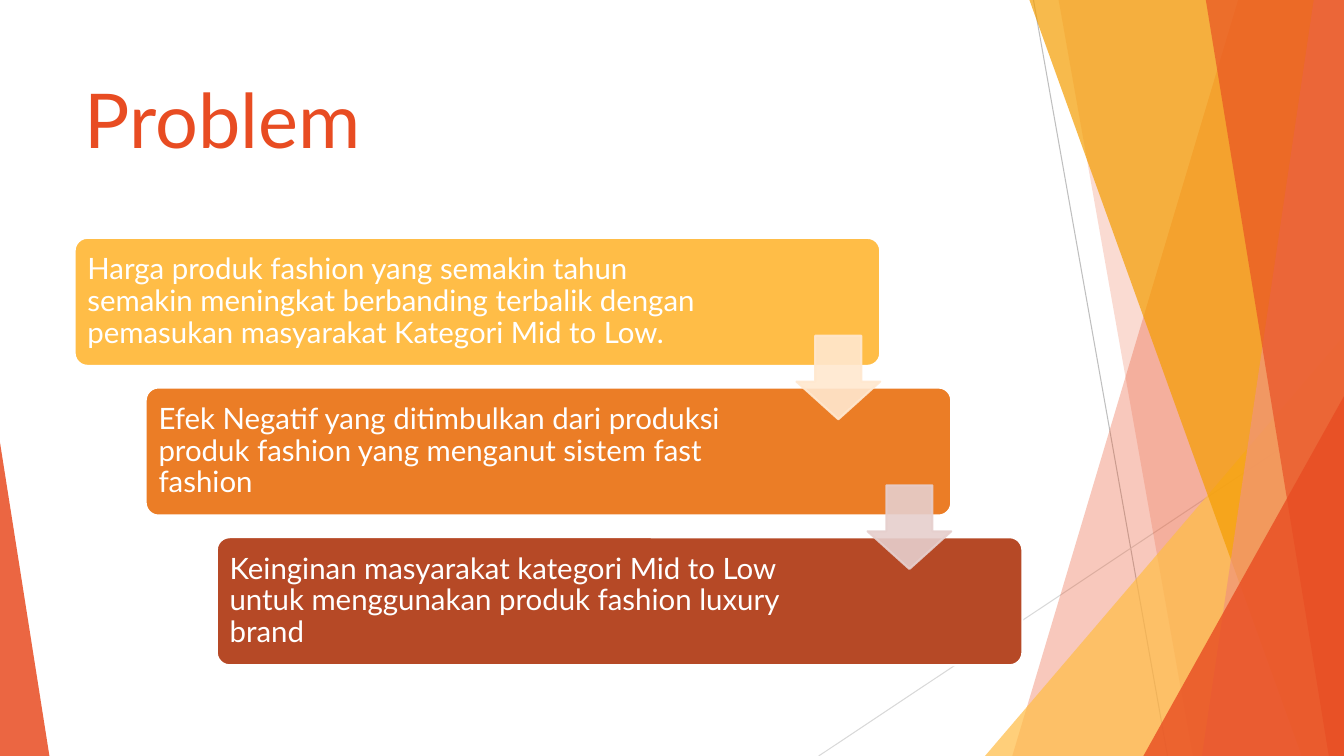
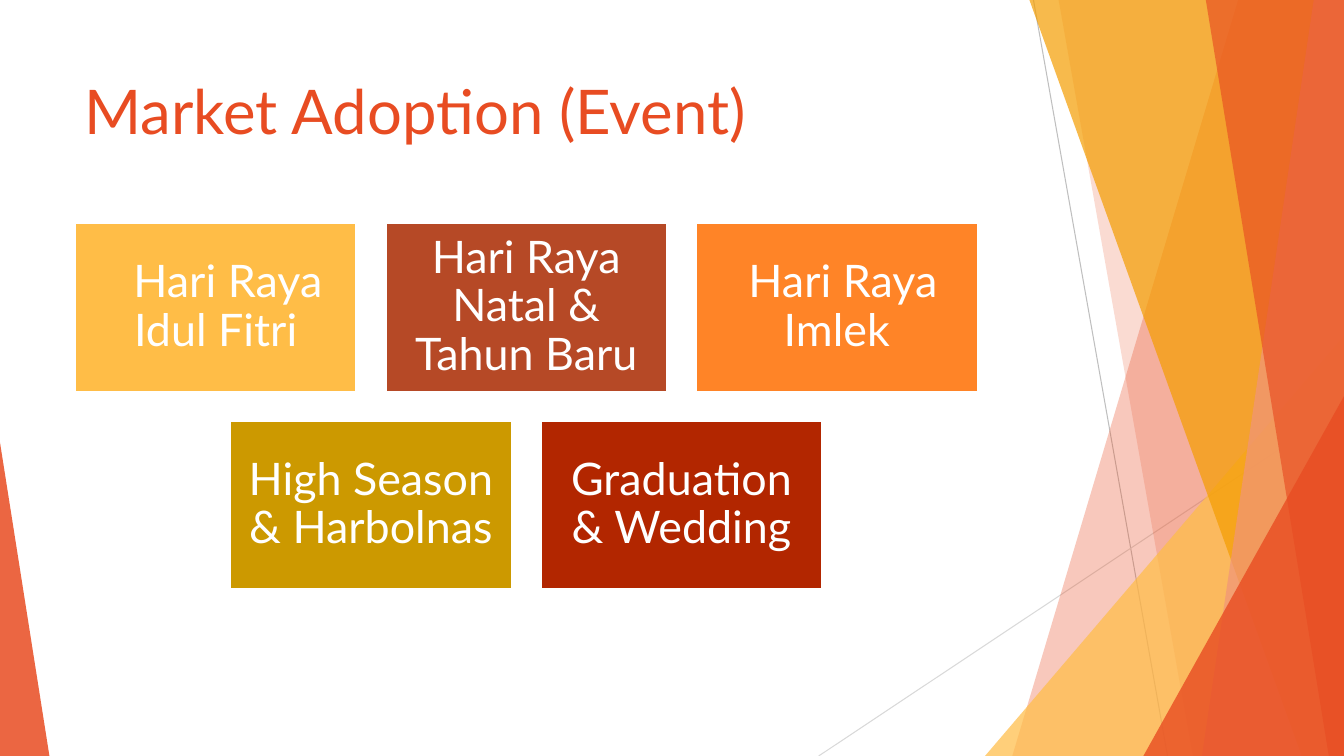
from dataclasses import dataclass

from lxml.etree import SubElement
from pptx import Presentation
from pptx.dml.color import RGBColor
from pptx.enum.shapes import MSO_CONNECTOR, MSO_SHAPE
from pptx.enum.text import MSO_ANCHOR, PP_ALIGN
from pptx.oxml.ns import qn
from pptx.util import Inches, Pt


@dataclass(frozen=True)
class Theme:
    font: str = "Lato"
    white: str = "FFFFFF"
    red: str = "E84C22"
    salmon: str = "F1947A"
    amber: str = "F49D00"
    yellow: str = "FFBD47"
    orange: str = "EB7D26"
    bright_orange: str = "FF8427"
    brick: str = "B64926"
    ochre: str = "CC9900"
    crimson: str = "B22600"
    cream: str = "FFE8CF"
    rose: str = "E6CFCD"
    gray: str = "BFBFBF"
    light_gray: str = "D9D9D9"
    problem_title: int = 54
    event_title: int = 44
    band_text: int = 21
    card_text: int = 32


THEME = Theme()
WIDTH, HEIGHT = 13.33, 7.5
LEFT, CONTENT_WIDTH = 0.74, 9.4

RAYS = [
    ((10.25, 0), (11.58, HEIGHT), THEME.gray),
    ((WIDTH, 4.03), (8.12, HEIGHT), THEME.light_gray),
]
PANES_AND_WEDGES = [
    ("pane", 12.28, 10.04, THEME.red, 30),
    ("pane", 10.5, 11.83, THEME.red, 20),
    ("wedge", 9.77, 3.56, 4.17, 1, THEME.yellow, 72),
    ("pane", 10.21, 12.91, THEME.amber, 70),
    ("pane", 13.03, 11.92, THEME.salmon, 70),
    ("pane", 11.96, 13.18, THEME.red, 65),
    ("wedge", 11.34, 1.99, 3.57, 1, THEME.red, 80),
    ("wedge", 0, 0.49, 3.11, 0, THEME.red, 85),
]

PROBLEMS = [
    ("Harga produk fashion yang semakin tahun semakin meningkat berbanding terbalik "
     "dengan pemasukan masyarakat Kategori Mid to Low.", THEME.yellow, 1.38),
    ("Efek Negatif yang ditimbulkan dari produksi produk fashion yang menganut "
     "sistem fast fashion", THEME.orange, 1.63),
    ("Keinginan masyarakat kategori Mid to Low untuk menggunakan produk fashion "
     "luxury brand", THEME.brick, 1.63),
]
ARROW_COLORS = [THEME.cream, THEME.rose]

EVENT_ROWS = [
    [("Hari Raya Idul Fitri", THEME.yellow, 0.24),
     ("Hari Raya Natal & Tahun Baru", THEME.brick, 0),
     ("Hari Raya Imlek", THEME.bright_orange, 0.12)],
    [("High Season & Harbolnas", THEME.ochre, 0),
     ("Graduation & Wedding", THEME.crimson, 0)],
]


def paint(fill, color, opacity=100):
    fill.solid()
    fill.fore_color.rgb = RGBColor.from_string(color)
    if opacity < 100:
        color_element = fill._xPr.find(qn("a:solidFill"))[0]
        SubElement(color_element, qn("a:alpha"), val=str(opacity * 1000))


def style_shape(shape, color, opacity=100, line_color=None, line_width=1.5, line_opacity=100):
    shape.shadow.inherit = False
    paint(shape.fill, color, opacity)
    if line_color:
        shape.line.width = Pt(line_width)
        paint(shape.line.fill, line_color, line_opacity)
    else:
        shape.line.fill.background()


def add_preset(slide, kind, left, top, width, height, adjustments=()):
    shape = slide.shapes.add_shape(kind, Inches(left), Inches(top), Inches(width), Inches(height))
    for index, value in enumerate(adjustments):
        shape.adjustments[index] = value
    return shape


def add_ray(slide, start, end, color):
    points = [Inches(value) for value in (*start, *end)]
    connector = slide.shapes.add_connector(MSO_CONNECTOR.STRAIGHT, *points)
    connector.line.width = Pt(0.75)
    paint(connector.line.fill, color)
    SubElement(connector.element.spPr, qn("a:effectLst"))
    return connector


def add_pane(slide, top_x, bottom_x, color, opacity):
    outline = [(WIDTH, 0), (WIDTH, HEIGHT), (bottom_x, HEIGHT)]
    builder = slide.shapes.build_freeform(Inches(top_x), Inches(0))
    builder.add_line_segments([(Inches(x), Inches(y)) for x, y in outline], close=True)
    pane = builder.convert_to_shape()
    style_shape(pane, color, opacity)
    return pane


def add_wedge(slide, left, width, height, apex, color, opacity):
    wedge = add_preset(slide, MSO_SHAPE.ISOSCELES_TRIANGLE, left, HEIGHT - height,
                       width, height, [apex])
    style_shape(wedge, color, opacity)
    return wedge


def decorate_layout(layout, slide):
    for placeholder in list(layout.placeholders):
        placeholder.element.getparent().remove(placeholder.element)
    decoration = [add_ray(slide, *ray) for ray in RAYS]
    painters = {"pane": add_pane, "wedge": add_wedge}
    for kind, *values in PANES_AND_WEDGES:
        decoration.append(painters[kind](slide, *values))
    for shape in decoration:
        layout.shapes.element.append(shape.element)


def write_text(shape, text, size, color, margins, anchor, alignment, line_spacing=1.0, indent=0):
    frame = shape.text_frame
    frame.word_wrap = True
    frame.vertical_anchor = anchor
    (frame.margin_left, frame.margin_top,
     frame.margin_right, frame.margin_bottom) = [Inches(margin) for margin in margins]
    paragraph = frame.paragraphs[0]
    paragraph.text = text
    paragraph.alignment = alignment
    paragraph.line_spacing = line_spacing
    if indent:
        paragraph._p.get_or_add_pPr().set("indent", str(Inches(indent)))
    paragraph.font.name = THEME.font
    paragraph.font.size = Pt(size)
    paragraph.font.color.rgb = RGBColor.from_string(color)


def add_title(slide, text, size):
    title = slide.shapes.add_textbox(Inches(LEFT), Inches(0.67),
                                     Inches(CONTENT_WIDTH), Inches(1.05))
    write_text(title, text, size, THEME.red, (0.1, 0.05, 0.1, 0.05),
               MSO_ANCHOR.TOP, PP_ALIGN.LEFT)


def build_problem(slide):
    add_title(slide, "Problem", THEME.problem_title)
    first_top, last_bottom = 2.36, 6.6
    width, height, arrow_size = 7.99, 1.27, 0.83
    steps = len(PROBLEMS) - 1
    step_x = (CONTENT_WIDTH - width) / steps
    step_y = (last_bottom - first_top - height) / steps
    for index, (text, color, right_margin) in enumerate(PROBLEMS):
        band = add_preset(slide, MSO_SHAPE.ROUNDED_RECTANGLE, LEFT + index * step_x,
                          first_top + index * step_y, width, height, [0.1])
        style_shape(band, color, line_color=THEME.white)
        write_text(band, text, THEME.band_text, THEME.white, (0.09, 0.09, right_margin, 0.09),
                   MSO_ANCHOR.MIDDLE, PP_ALIGN.LEFT, 0.9)
    for index, color in enumerate(ARROW_COLORS):
        arrow = add_preset(slide, MSO_SHAPE.DOWN_ARROW,
                           LEFT + index * step_x + width - arrow_size,
                           first_top + index * step_y + 0.97,
                           arrow_size, arrow_size, [0.55, 0.45])
        style_shape(arrow, color, 90, color, line_opacity=90)


def build_events(slide):
    add_title(slide, "Market Adoption (Event)", THEME.event_title)
    first_top, width, height, gap = 2.21, 2.8, 1.68, 0.28
    pitch = width + gap
    longest = max(len(row) for row in EVENT_ROWS)
    for row_index, row in enumerate(EVENT_ROWS):
        row_left = LEFT + (longest - len(row)) * pitch / 2
        top = first_top + row_index * (height + gap)
        for column, (text, color, indent) in enumerate(row):
            card = add_preset(slide, MSO_SHAPE.RECTANGLE, row_left + column * pitch,
                              top, width, height)
            style_shape(card, color, line_color=THEME.white, line_width=2)
            write_text(card, text, THEME.card_text, THEME.white, (0.13,) * 4,
                       MSO_ANCHOR.MIDDLE, PP_ALIGN.CENTER, 0.9, indent)


def main():
    presentation = Presentation()
    presentation.slide_width = Inches(WIDTH)
    presentation.slide_height = Inches(HEIGHT)
    layout = presentation.slide_layouts[6]
    problem_slide, event_slide = [presentation.slides.add_slide(layout) for _ in range(2)]
    decorate_layout(layout, problem_slide)
    build_problem(problem_slide)
    build_events(event_slide)
    presentation.save("out.pptx")


if __name__ == "__main__":
    main()
